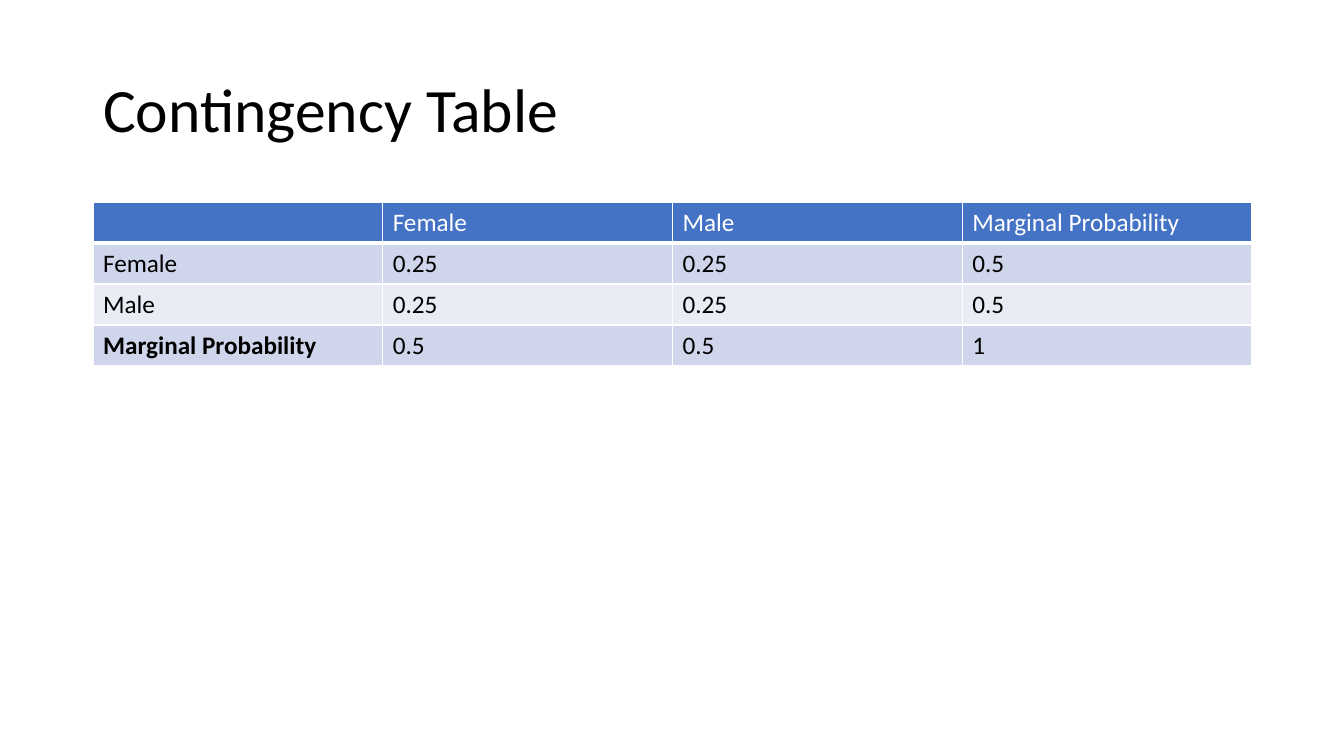
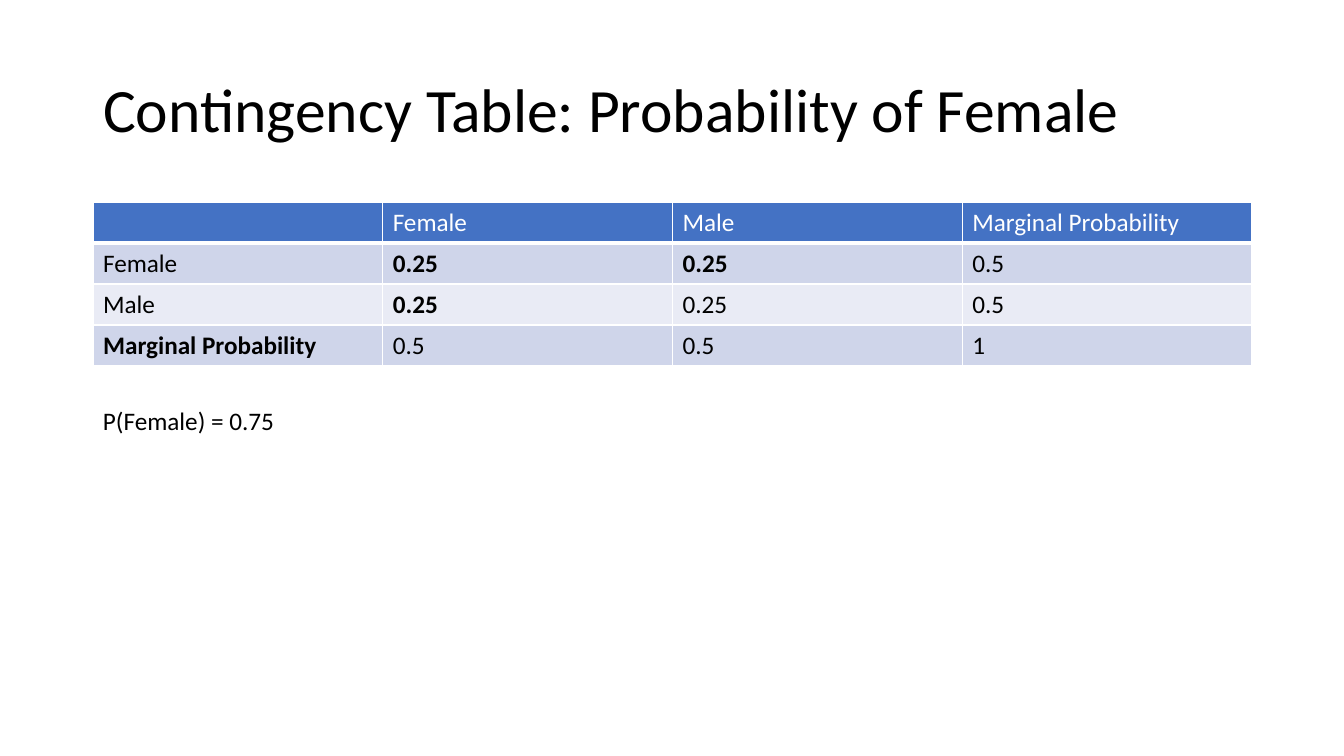
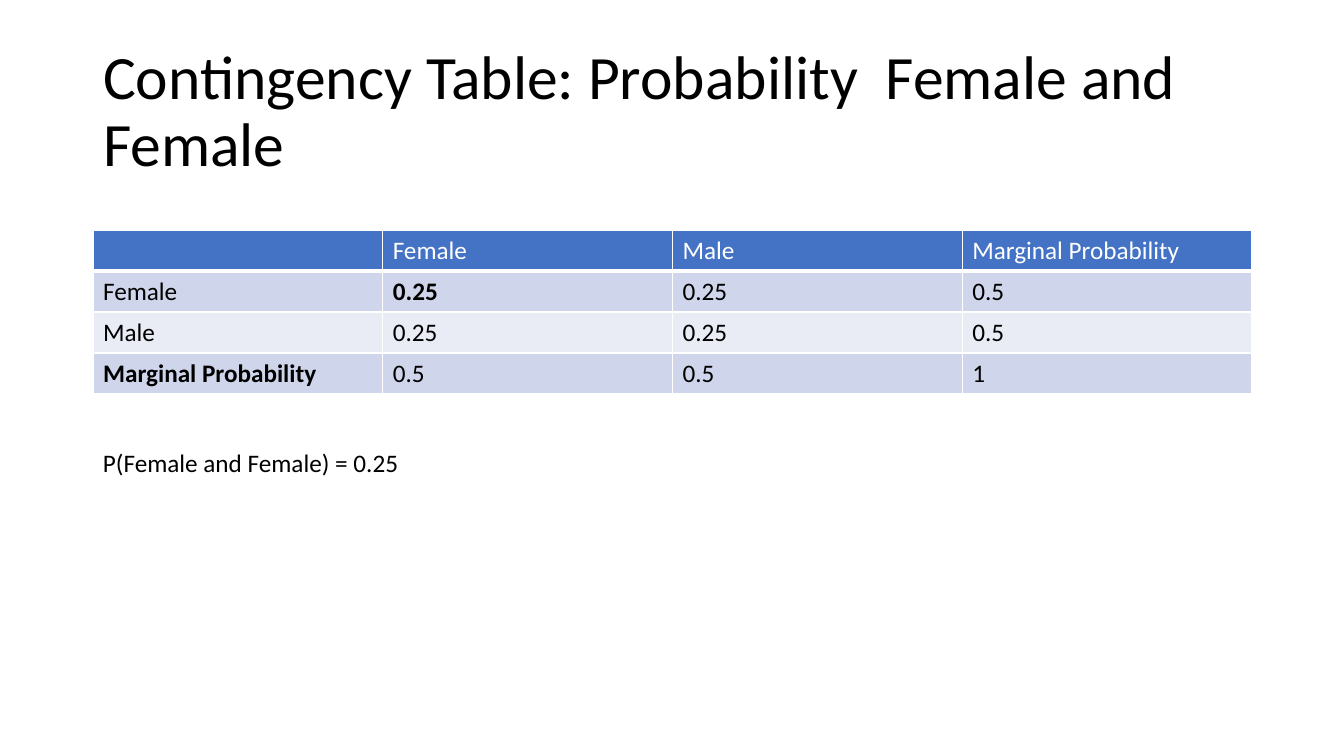
from dataclasses import dataclass

from lxml.etree import SubElement
from pptx import Presentation
from pptx.dml.color import RGBColor
from pptx.enum.text import MSO_ANCHOR, MSO_AUTO_SIZE, PP_ALIGN
from pptx.oxml.ns import qn
from pptx.slide import Slide
from pptx.table import _Cell
from pptx.text.text import TextFrame
from pptx.util import Emu, Pt

EMU_PER_PIXEL = 12192000 / 1344
SLIDE_WIDTH, SLIDE_HEIGHT = 1344, 756
LEFT, CONTENT_WIDTH = 93, 1159
TITLE_TOP, TITLE_HEIGHT = 40, 146
ROW_HEIGHT = 41
RESULT_WIDTH, RESULT_HEIGHT = 830, 40

FONT = "Calibri"
TITLE_SIZE, BODY_SIZE = 44, 18
BLACK = RGBColor(0x00, 0x00, 0x00)
WHITE = RGBColor(0xFF, 0xFF, 0xFF)
HEADER_FILL = RGBColor(0x44, 0x72, 0xC4)
ODD_FILL = RGBColor(0xCF, 0xD5, 0xEA)
EVEN_FILL = RGBColor(0xE9, 0xEB, 0xF5)

TOTAL = "Marginal Probability"
CONTINGENCY = (
    ("", "Female", "Male", TOTAL),
    ("Female", "0.25", "0.25", "0.5"),
    ("Male", "0.25", "0.25", "0.5"),
    (TOTAL, "0.5", "0.5", "1"),
)
TOTAL_LABEL = (3, 0)


@dataclass(frozen=True)
class ContingencySlide:
    """Content of one slide; highlights are (row, column) cells in bold."""

    title: str
    table_top: int
    highlights: tuple[tuple[int, int], ...] = ()
    result: str = ""
    result_top: int = 0


SLIDES = (
    ContingencySlide("Contingency Table", 202),
    ContingencySlide(
        "Contingency Table: Probability of Female", 202,
        ((1, 1), (1, 2), (2, 1)), "P(Female) = 0.75", 400,
    ),
    ContingencySlide(
        "Contingency Table: Probability  Female and Female", 230,
        ((1, 1),), "P(Female and Female) = 0.25", 442,
    ),
)


def px(pixels: int) -> Emu:
    """Convert pixels to EMU."""
    return Emu(round(pixels * EMU_PER_PIXEL))


def set_text(frame: TextFrame, text: str, size: int,
             color: RGBColor = BLACK, bold: bool = False) -> None:
    """Write left-aligned text and format its runs."""
    frame.text = text
    for paragraph in frame.paragraphs:
        paragraph.alignment = PP_ALIGN.LEFT
        for run in paragraph.runs:
            run.font.name = FONT
            run.font.size = Pt(size)
            run.font.bold = bold
            run.font.color.rgb = color


def set_borders(cell: _Cell, bottom: int) -> None:
    """Draw white borders of 1 pt, with the bottom one in its own width."""
    properties = cell._tc.get_or_add_tcPr()
    widths = {"a:lnL": 1, "a:lnR": 1, "a:lnT": 1, "a:lnB": bottom}
    for tag, width in widths.items():
        line = SubElement(properties, qn(tag), w=str(Pt(width)))
        fill = SubElement(line, qn("a:solidFill"))
        SubElement(fill, qn("a:srgbClr"), val=str(WHITE))


def add_title(slide: Slide, text: str) -> None:
    """Place and format the title placeholder."""
    title = slide.shapes.title
    title.left, title.top = px(LEFT), px(TITLE_TOP)
    title.width, title.height = px(CONTENT_WIDTH), px(TITLE_HEIGHT)
    frame = title.text_frame
    set_text(frame, text, TITLE_SIZE)
    frame.word_wrap = True
    frame.auto_size = MSO_AUTO_SIZE.NONE
    frame.vertical_anchor = MSO_ANCHOR.MIDDLE
    frame.paragraphs[0].line_spacing = 0.9


def add_contingency_table(slide: Slide, top: int,
                          highlights: tuple[tuple[int, int], ...]) -> None:
    """Add the banded probability table with the highlighted cells in bold."""
    table = slide.shapes.add_table(
        len(CONTINGENCY), len(CONTINGENCY[0]), px(LEFT), px(top),
        px(CONTENT_WIDTH), px(ROW_HEIGHT * len(CONTINGENCY)),
    ).table
    for row, values in enumerate(CONTINGENCY):
        is_header = row == 0
        band = ODD_FILL if row % 2 else EVEN_FILL
        for column, value in enumerate(values):
            cell = table.cell(row, column)
            set_borders(cell, bottom=3 if is_header else 1)
            cell.fill.solid()
            cell.fill.fore_color.rgb = HEADER_FILL if is_header else band
            set_text(cell.text_frame, value, BODY_SIZE,
                     color=WHITE if is_header else BLACK,
                     bold=(row, column) in (TOTAL_LABEL, *highlights))


def add_result(slide: Slide, text: str, top: int) -> None:
    """Add the resulting probability below the table."""
    box = slide.shapes.add_textbox(
        px(LEFT), px(top), px(RESULT_WIDTH), px(RESULT_HEIGHT))
    box.text_frame.word_wrap = True
    box.text_frame.auto_size = MSO_AUTO_SIZE.SHAPE_TO_FIT_TEXT
    set_text(box.text_frame, text, BODY_SIZE)


def main() -> None:
    """Build and save the presentation."""
    presentation = Presentation()
    presentation.slide_width = px(SLIDE_WIDTH)
    presentation.slide_height = px(SLIDE_HEIGHT)
    title_only = presentation.slide_layouts.get_by_name("Title Only")
    for content in SLIDES:
        slide = presentation.slides.add_slide(title_only)
        add_title(slide, content.title)
        add_contingency_table(slide, content.table_top, content.highlights)
        if content.result:
            add_result(slide, content.result, content.result_top)
    presentation.save("out.pptx")


main()
